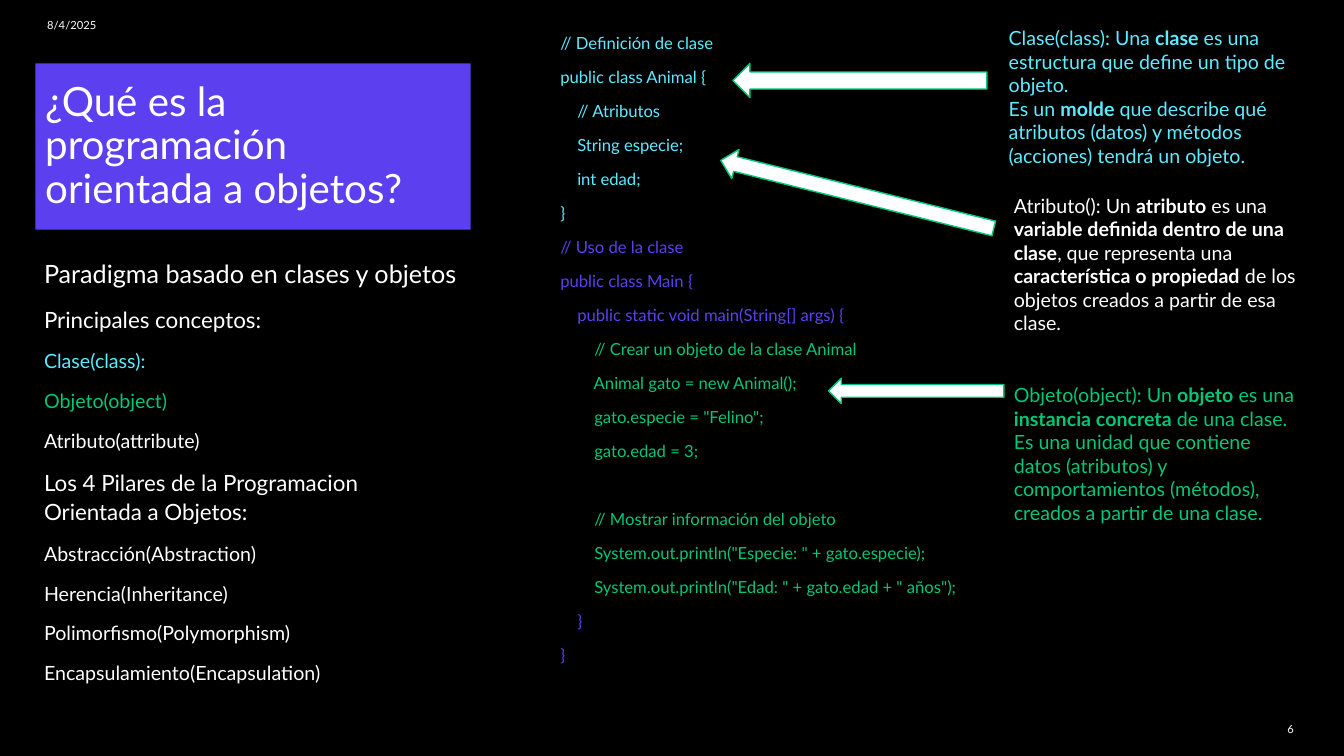
from dataclasses import dataclass

from pptx import Presentation
from pptx.dml.color import RGBColor
from pptx.enum.shapes import MSO_SHAPE
from pptx.enum.text import MSO_ANCHOR, MSO_AUTO_SIZE, PP_ALIGN
from pptx.util import Cm, Pt

RECTANGLE = MSO_SHAPE.RECTANGLE
LEFT_ARROW = MSO_SHAPE.LEFT_ARROW
TOP, MIDDLE = MSO_ANCHOR.TOP, MSO_ANCHOR.MIDDLE
LEFT, RIGHT = PP_ALIGN.LEFT, PP_ALIGN.RIGHT
GROW = MSO_AUTO_SIZE.SHAPE_TO_FIT_TEXT


@dataclass(frozen=True)
class Theme:
    font: str = "Lato"
    black: RGBColor = RGBColor(0x00, 0x00, 0x00)
    white: RGBColor = RGBColor(0xFF, 0xFF, 0xFF)
    violet: RGBColor = RGBColor(0x5C, 0x40, 0xEF)
    cyan: RGBColor = RGBColor(0x5C, 0xEC, 0xFF)
    green: RGBColor = RGBColor(0x00, 0xC7, 0x77)
    title: float = 28.8
    lead: float = 18
    heading: float = 16
    body: float = 14
    code: float = 11.9
    footer: float = 8
    gap: float = 10
    blank_line: float = 24.28


THEME = Theme()

# Each block: colour, lines, extra space above the block
CODE_BLOCKS = [
    (THEME.cyan, ["// Definición de clase",
                  "public class Animal {",
                  "    // Atributos",
                  "    String especie;",
                  "    int edad;",
                  "}"], 0),
    (THEME.violet, ["// Uso de la clase",
                    "public class Main {",
                    "    public static void main(String[] args) {"], 0),
    (THEME.green, ["        // Crear un objeto de la clase Animal",
                   "        Animal gato = new Animal();",
                   "        gato.especie = \"Felino\";",
                   "        gato.edad = 3;"], 0),
    (THEME.green, ["        // Mostrar información del objeto",
                   "        System.out.println(\"Especie: \" + gato.especie);",
                   "        System.out.println(\"Edad: \" + gato.edad + \" años\");"],
     THEME.blank_line),
    (THEME.violet, ["    }", "}"], 0),
]

TOPICS = [
    ("Paradigma basado en clases y objetos", THEME.lead, THEME.white),
    ("Principales conceptos:", THEME.heading, THEME.white),
    ("Clase(class):", THEME.body, THEME.cyan),
    ("Objeto(object)", THEME.body, THEME.green),
    ("Atributo(attribute)", THEME.body, THEME.white),
    ("Los 4 Pilares de la Programacion Orientada a Objetos:", THEME.heading, THEME.white),
    ("Abstracción(Abstraction)", THEME.body, THEME.white),
    ("Herencia(Inheritance)", THEME.body, THEME.white),
    ("Polimorfismo(Polymorphism)", THEME.body, THEME.white),
    ("Encapsulamiento(Encapsulation)", THEME.body, THEME.white),
]

# Asterisks enclose bold words
CALLOUTS = [
    ((25.17, 0.53, 7.62, 3.84), THEME.cyan,
     "Clase(class): Una *clase* es una estructura que define un tipo de objeto.\n"
     "Es un *molde* que describe qué atributos (datos) y métodos (acciones) "
     "tendrá un objeto."),
    ((25.3, 4.75, 7.62, 3.84), THEME.white,
     "Atributo(): Un *atributo* es una *variable definida dentro de una clase*, "
     "que representa una *característica o propiedad* de los objetos creados "
     "a partir de esa clase."),
    ((25.3, 9.53, 7.62, 4.45), THEME.green,
     "Objeto(object): Un *objeto* es una *instancia concreta* de una clase.\n"
     "Es una unidad que contiene datos (atributos) y comportamientos (métodos), "
     "creados a partir de una clase."),
]

ARROWS = [
    ((18.47, 1.6, 6.4, 0.86), 0),
    ((18.06, 4.52, 7.09, 0.76), 14),
    ((20.88, 9.53, 4.42, 0.64), 0),
]


def lengths(box):
    return [Cm(value) for value in box]


def add_text_frame(slide, box, anchor=TOP):
    frame = slide.shapes.add_textbox(*lengths(box)).text_frame
    frame.word_wrap = True
    frame.vertical_anchor = anchor
    return frame


def add_filled_shape(slide, kind, box, fill):
    shape = slide.shapes.add_shape(kind, *lengths(box))
    shape.shadow.inherit = False
    shape.fill.solid()
    shape.fill.fore_color.rgb = fill
    return shape


def style(paragraph, size, color, align=LEFT):
    paragraph.alignment = align
    paragraph.font.name = THEME.font
    paragraph.font.size = Pt(size)
    paragraph.font.color.rgb = color


def next_paragraph(frame, space_before):
    """Return the empty first paragraph, or a new one set off by space_before."""
    first = frame.paragraphs[0]
    if not first.runs:
        return first
    paragraph = frame.add_paragraph()
    paragraph.space_before = Pt(space_before)
    return paragraph


def add_title(slide, box, text):
    banner = add_filled_shape(slide, RECTANGLE, box, THEME.violet)
    banner.line.fill.background()
    frame = banner.text_frame
    frame.word_wrap = True
    frame.vertical_anchor = MIDDLE
    paragraph = frame.paragraphs[0]
    paragraph.text = text
    paragraph.line_spacing = 0.9
    style(paragraph, THEME.title, THEME.white)


def add_code(slide, box):
    frame = add_text_frame(slide, box)
    for color, lines, extra in CODE_BLOCKS:
        for index, line in enumerate(lines):
            above = THEME.gap + (extra if index == 0 else 0)
            paragraph = next_paragraph(frame, above)
            paragraph.text = line
            style(paragraph, THEME.code, color)


def add_topics(slide, box):
    frame = add_text_frame(slide, box)
    for text, size, color in TOPICS:
        paragraph = next_paragraph(frame, THEME.gap)
        paragraph.text = text
        paragraph.line_spacing = 1.1
        style(paragraph, size, color)


def add_callout(slide, box, color, text):
    frame = add_text_frame(slide, box)
    frame.auto_size = GROW
    paragraph = frame.paragraphs[0]
    for line_number, line in enumerate(text.split("\n")):
        if line_number:
            paragraph.add_line_break()
        for index, part in enumerate(line.split("*")):
            run = paragraph.add_run()
            run.text = part
            run.font.bold = index % 2 == 1
    style(paragraph, THEME.body, color)


def add_arrow(slide, box, rotation):
    arrow = add_filled_shape(slide, LEFT_ARROW, box, THEME.white)
    arrow.line.color.rgb = THEME.green
    arrow.line.width = Pt(1)
    arrow.rotation = rotation


def add_footer(slide, box, text, align):
    paragraph = add_text_frame(slide, box, MIDDLE).paragraphs[0]
    paragraph.text = text
    style(paragraph, THEME.footer, THEME.white, align)


def main():
    deck = Presentation()
    deck.slide_width, deck.slide_height = Cm(33.87), Cm(19.05)
    slide = deck.slides.add_slide(deck.slide_layouts[6])
    slide.background.fill.solid()
    slide.background.fill.fore_color.rgb = THEME.black

    add_title(slide, (0.89, 1.6, 10.97, 4.19),
              "¿Qué es la programación orientada a objetos?")
    add_code(slide, (13.87, 0.71, 11.28, 16.92))
    add_topics(slide, (0.86, 6.32, 10.95, 12.52))
    add_footer(slide, (0.94, 0.18, 7.62, 0.89), "8/4/2025", LEFT)
    add_footer(slide, (31.67, 17.86, 1.19, 1.02), "6", RIGHT)
    for box, color, text in CALLOUTS:
        add_callout(slide, box, color, text)
    for box, rotation in ARROWS:
        add_arrow(slide, box, rotation)
    deck.save("out.pptx")


if __name__ == "__main__":
    main()
